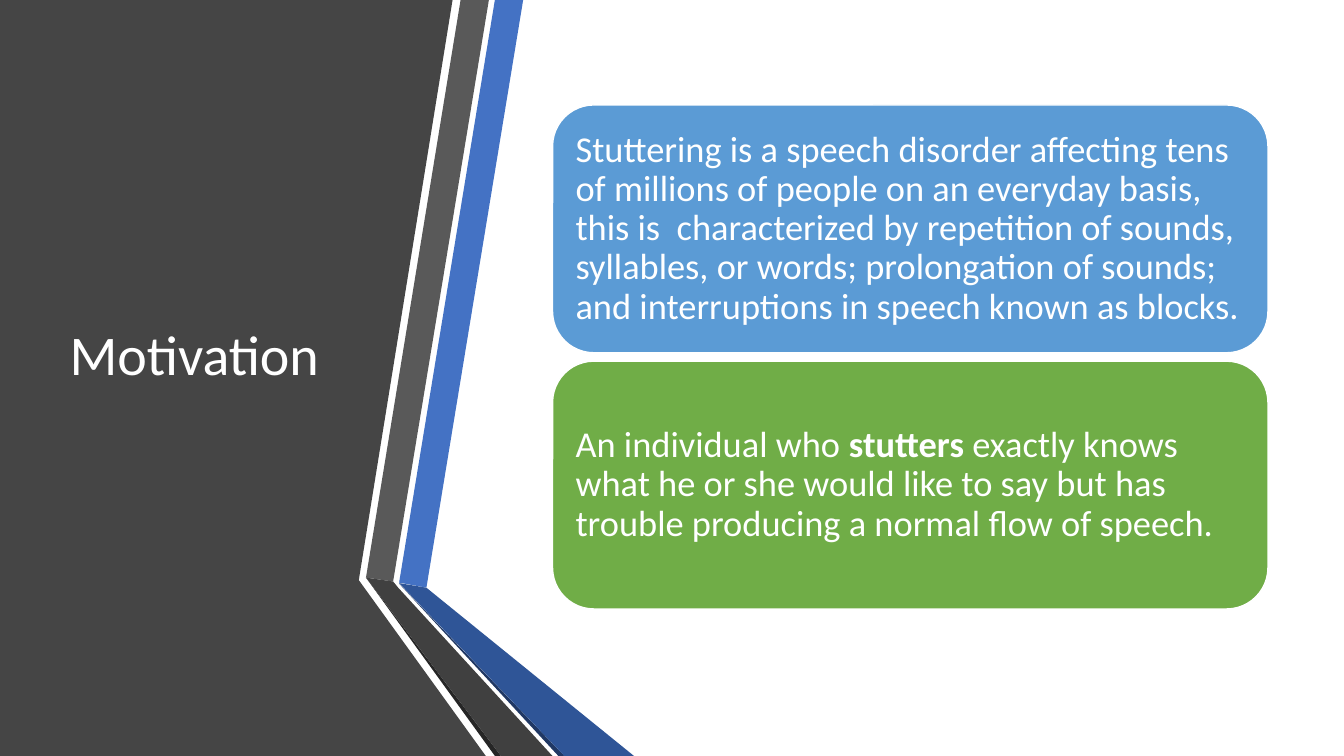
from pptx import Presentation
from pptx.dml.color import RGBColor
from pptx.enum.shapes import MSO_SHAPE as Shape
from pptx.enum.text import MSO_ANCHOR as Anchor, PP_ALIGN as Align
from pptx.util import Pt

FONT = "Calibri"
WHITE = RGBColor(0xFF, 0xFF, 0xFF)
PANEL = RGBColor(0x45, 0x45, 0x45)
GRAY = RGBColor(0x59, 0x59, 0x59)
DARK_GRAY = RGBColor(0x40, 0x40, 0x40)
GRAY_EDGE = RGBColor(0x26, 0x26, 0x26)
BLUE = RGBColor(0x44, 0x72, 0xC4)
DARK_BLUE = RGBColor(0x2F, 0x55, 0x97)
BLUE_EDGE = RGBColor(0x20, 0x38, 0x64)
LIGHT_BLUE = RGBColor(0x5B, 0x9B, 0xD5)
GREEN = RGBColor(0x70, 0xAD, 0x47)


def add_run(para, text, size, bold=False):
    span = para.add_run()
    span.text = text
    span.font.name = FONT
    span.font.size = Pt(size)
    span.font.bold = bold
    span.font.color.rgb = WHITE


deck = Presentation()
deck.slide_width, deck.slide_height = Pt(960), Pt(540)
page = deck.slides.add_slide(deck.slide_layouts[5])

# Dark panel and folded ribbons, back to front
polygons = [
    (PANEL, [(0, 0), (323.3, 0), (256.3, 414.4), (347, 540), (0, 540)]),
    (BLUE, [(285.1, 416.2), (304.6, 419.8), (373.7, 0), (353.5, 0)]),
    (GRAY, [(349.2, 0), (329, 0), (261.4, 412.6), (280.8, 415.4)]),
    (GRAY_EDGE, [(261.4, 412.6), (353.5, 540), (357.8, 540)]),
    (BLUE_EDGE, [(285.1, 416.9), (398.9, 540), (403.2, 540)]),
    (DARK_BLUE, [(285.1, 416.5), (403.2, 540), (452.9, 540), (304.6, 419.8)]),
    (DARK_GRAY, [(394.6, 540), (284.4, 419.8), (280.8, 415.4),
                 (261.4, 412.6), (357.8, 540)]),
]
for color, points in polygons:
    corners = [(Pt(x), Pt(y)) for x, y in points]
    builder = page.shapes.build_freeform(*corners[0])
    builder.add_line_segments(corners[1:], close=True)
    ribbon = builder.convert_to_shape()
    ribbon.shadow.inherit = False
    ribbon.fill.solid()
    ribbon.fill.fore_color.rgb = color
    ribbon.line.fill.background()

# Title, raised above the panel
title = page.shapes.title
page.shapes._spTree.append(title._element)
title.left, title.top, title.width, title.height = Pt(42.5), Pt(54), Pt(219), Pt(402)
title.text_frame.vertical_anchor = Anchor.MIDDLE
title.text_frame.word_wrap = True
para = title.text_frame.paragraphs[0]
para.alignment = Align.LEFT
para.line_spacing = 0.9
add_run(para, "Motivation", 40)

# Statement cards
cards = [
    (LIGHT_BLUE, [
        ("Stuttering is a speech disorder affecting tens of millions of people "
         "on an everyday basis, this is  characterized by repetition of sounds, "
         "syllables, or words; prolongation of sounds; and interruptions in "
         "speech known as blocks.", False)]),
    (GREEN, [
        ("An individual who ", False),
        ("stutters", True),
        (" exactly knows what he or she would like to say but has trouble "
         "producing a normal flow of speech.", False)]),
]
CARD_TOP, CARD_STEP = 75, 183
for index, (color, runs) in enumerate(cards):
    box = page.shapes.add_shape(Shape.ROUNDED_RECTANGLE, Pt(394.7),
                                Pt(CARD_TOP + index * CARD_STEP), Pt(511), Pt(177))
    box.shadow.inherit = False
    box.fill.solid()
    box.fill.fore_color.rgb = color
    box.line.color.rgb = WHITE
    box.line.width = Pt(1)
    frame = box.text_frame
    frame.word_wrap = True
    frame.vertical_anchor = Anchor.MIDDLE
    frame.margin_left = frame.margin_right = Pt(7.8)
    frame.margin_top = frame.margin_bottom = Pt(7.8)
    para = frame.paragraphs[0]
    para.alignment = Align.LEFT
    para.line_spacing = 0.9
    for text, bold in runs:
        add_run(para, text, 26, bold)

deck.save("out.pptx")
